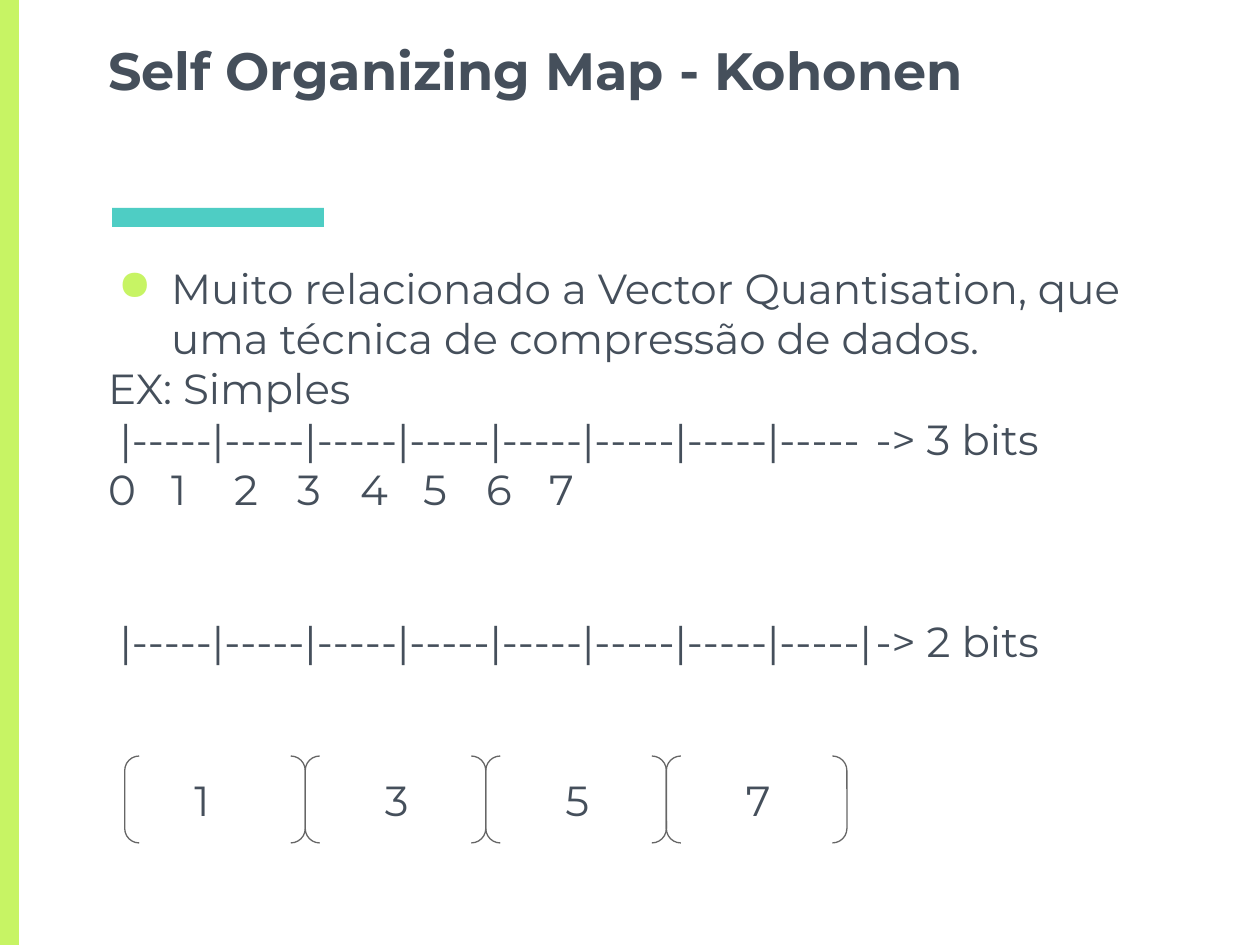
from pptx import Presentation
from pptx.dml.color import RGBColor
from pptx.enum.shapes import MSO_SHAPE as SHAPE
from pptx.enum.text import MSO_ANCHOR as ANCHOR, PP_ALIGN as ALIGN
from pptx.oxml import parse_xml
from pptx.oxml.ns import nsdecls
from pptx.util import Inches, Pt

COLORS = {"ink": "454F5B", "lime": "C7F464", "teal": "4ECDC4", "line": "666666"}
FONT = "Montserrat"

prs = Presentation()
prs.slide_width, prs.slide_height = Inches(10), Inches(7.5)
s = prs.slides.add_slide(prs.slide_layouts[6])

# Grid: 100 columns by 75 rows
COL, ROW = prs.slide_width // 100, prs.slide_height // 75


def cells(x, y, w, h):
    return [int(v) for v in (x * COL, y * ROW, w * COL, h * ROW)]


def write(p, text, size, indent=(0, 0), extras=(), bold=None):
    """Fill a paragraph; indent is (left margin, first line) in columns."""
    p.text = text
    p.alignment = ALIGN.LEFT
    pPr = p._p.get_or_add_pPr()
    pPr.set("marL", str(int(indent[0] * COL)))
    pPr.set("indent", str(int(indent[1] * COL)))
    for xml in extras:
        pPr.append(parse_xml(xml))
    for r in p.runs:
        r.font.name, r.font.size, r.font.bold = FONT, Pt(size), bold
        r.font.color.rgb = RGBColor.from_string(COLORS["ink"])


# Accent bars
for color, box in (("teal", (8.9, 16.5, 16.8, 1.5)), ("lime", (0, 0, 1.5, 75))):
    sp = s.shapes.add_shape(SHAPE.RECTANGLE, *cells(*box))
    sp.shadow.inherit = False
    sp.fill.solid()
    sp.fill.fore_color.rgb = RGBColor.from_string(COLORS[color])
    sp.line.fill.background()

# Title and body boxes
frames = []
for box in ((7.6, 0, 84.9, 9), (7.6, 19.8, 84.9, 36)):
    tf = s.shapes.add_textbox(*cells(*box)).text_frame
    tf.word_wrap = True
    tf.margin_left = tf.margin_right = COL
    tf.margin_top = tf.margin_bottom = ROW
    frames.append(tf)
title, body = frames
title.vertical_anchor = ANCHOR.BOTTOM
write(title.paragraphs[0], "Self Organizing Map - Kohonen", 30, bold=True)

# Body: bullet, then scales whose labels sit on tab stops
bullet = (f'<a:buClr {nsdecls("a")}><a:srgbClr val="{COLORS["lime"]}"/></a:buClr>',
          f'<a:buChar {nsdecls("a")} char="●"/>')
scale = "|-----" * 8
lines = [
    ("Muito relacionado a Vector Quantisation, que uma técnica de compressão de dados.",
     (5, -4.2), bullet, []),
    ("EX: Simples", (0, 0), (), []),
    (scale + "\t-> 3 bits", (0.9, 0), (), [61.2]),
    ("\t".join(str(n) for n in range(8)), (0, 0), (), [7 * n for n in range(1, 8)]),
    (scale + "|\t-> 2 bits", (0.9, 0), (), [62.2]),
]
for i, (text, indent, marks, stops) in enumerate(lines):
    p = body.paragraphs[0] if i == 0 else body.add_paragraph()
    tabs = "".join(f'<a:tab pos="{int(x * COL)}" algn="l"/>' for x in stops)
    tab_list = (f'<a:tabLst {nsdecls("a")}>{tabs}</a:tabLst>',) if stops else ()
    write(p, text, 24, indent, marks + tab_list)
p.space_before = Pt(58)

# Bracketed groups, one per pair of scale steps
width = 14.33
for i, label in enumerate("1357"):
    sp = s.shapes.add_shape(SHAPE.DOUBLE_BRACKET, *cells(9.9 + i * width, 60, width, 6.9))
    sp.shadow.inherit = False
    sp.fill.background()
    sp.line.color.rgb = RGBColor.from_string(COLORS["line"])
    sp.line.width = Pt(0.75)
    tf = sp.text_frame
    tf.margin_left = tf.margin_right = COL
    tf.margin_top = tf.margin_bottom = ROW
    tf.vertical_anchor = ANCHOR.MIDDLE
    write(tf.paragraphs[0], label, 24, (0, 4.2 if i == 0 else 5))

prs.save("out.pptx")
